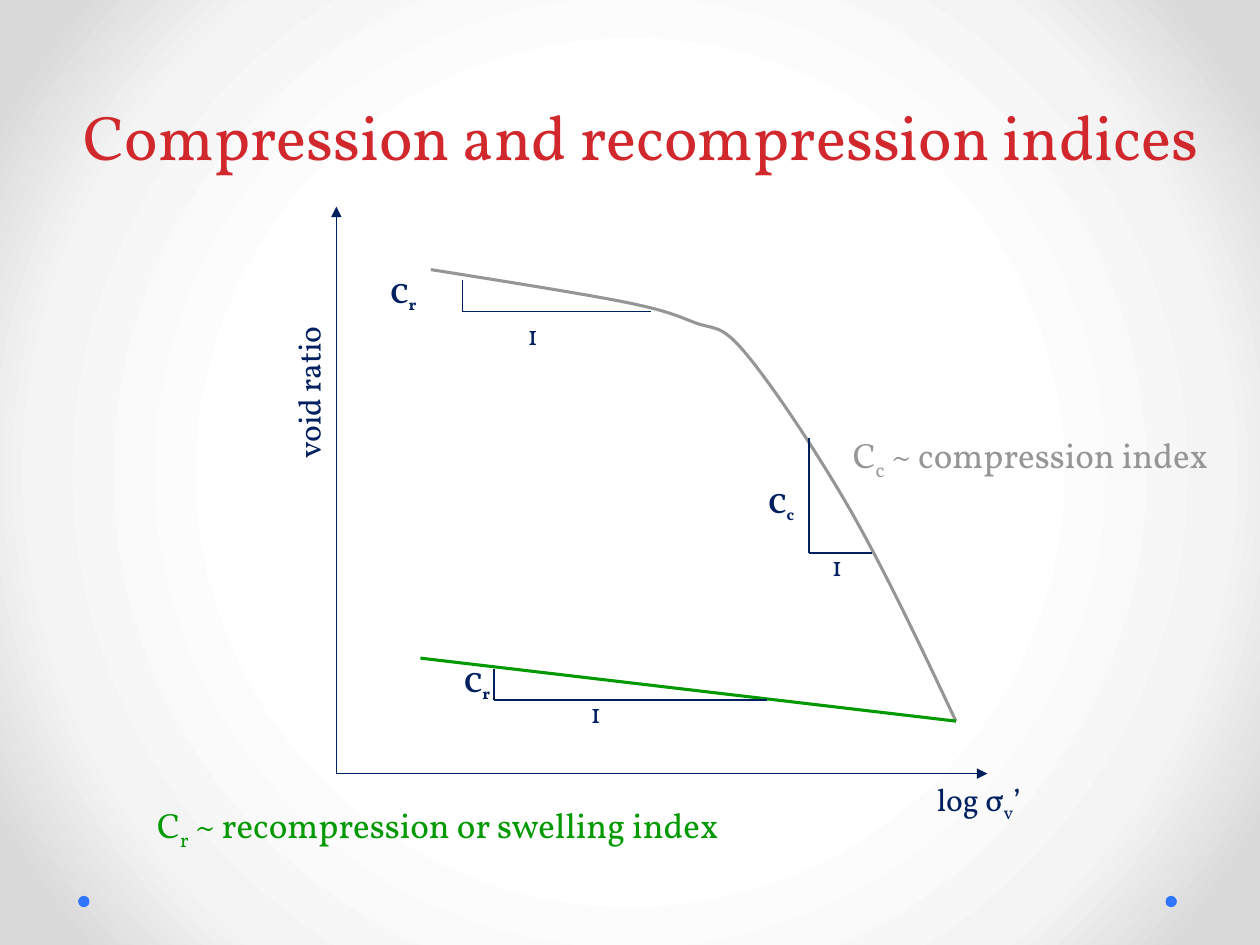
from typing import NamedTuple

from lxml import etree
from pptx import Presentation
from pptx.dml.color import RGBColor
from pptx.enum.shapes import MSO_CONNECTOR, MSO_SHAPE
from pptx.enum.text import MSO_ANCHOR, MSO_AUTO_SIZE, PP_ALIGN
from pptx.oxml import parse_xml
from pptx.oxml.ns import nsdecls, qn
from pptx.util import Inches, Pt

STRAIGHT = MSO_CONNECTOR.STRAIGHT
OVAL = MSO_SHAPE.OVAL
GROW = MSO_AUTO_SIZE.SHAPE_TO_FIT_TEXT
BOTTOM = MSO_ANCHOR.BOTTOM
CENTER = PP_ALIGN.CENTER

FONT = "Vollkorn"
COLORS = {
    "title": "D1282E",
    "ink": "002060",
    "compression": "969696",
    "recompression": "009900",
    "dot": "3075FF",
}
BACKDROP_STOPS = ((50, "FFFFFF"), (76, "F4F4F4"), (92, "DADADA"))

# The chart grid starts at the top of the void ratio axis, with 12 cells per inch.
GRID_LEFT, GRID_TOP, CELLS_PER_INCH = 2.67, 1.64, 12
AXIS_COLS, AXIS_ROWS = 62, 54


class Segment(NamedTuple):
    start: tuple[float, float]
    end: tuple[float, float]
    color: str = "ink"
    weight: float = 0.75
    arrow: bool = False


class Label(NamedTuple):
    """Text placed on the grid; wordings alternate between normal and subscript."""
    wordings: tuple[str, ...]
    col: float
    row: float
    cols: float
    rows: float
    size: int = 16
    color: str = "ink"
    bold: bool = False
    rotation: int = 0


class SlopeTriangle(NamedTuple):
    """Rise and run under a curve, with the places of its two labels."""
    subscript: str
    corner: tuple[float, float]
    rise: float
    run: float
    symbol_at: tuple[float, float]
    symbol_cols: float
    unit_at: tuple[float, float]


AXES = (
    Segment((0, AXIS_ROWS), (AXIS_COLS, AXIS_ROWS), arrow=True),
    Segment((0, AXIS_ROWS), (0, 0), arrow=True),
)
SWELLING_LINE = Segment((59, 49), (8, 43), "recompression", 1.75)
# Start point, then two control points and an end point for each Bézier piece.
COMPRESSION_CURVE = (
    (9, 6),
    (15.9, 7.1), (22.8, 8.2), (27, 9),
    (31, 9.8), (32, 10.2), (34, 11),
    (36, 11.8), (36.5, 11), (39, 14),
    (41.5, 17), (45.6, 23.1), (49, 29),
    (52.4, 35), (55.7, 42), (59, 49),
)
TRIANGLES = (
    SlopeTriangle("c", (45, 33), 11, 6, (40, 26), 6, (46, 32)),
    SlopeTriangle("r", (15, 47), 3, 26, (11, 43), 8, (23, 46)),
    SlopeTriangle("r", (12, 10), 3, 18, (4, 6), 7, (17, 10)),
)
LABELS = (
    Label(("log σ", "v", "’"), 56, 54, 18, 4.8, 18),
    Label(("void ratio",), -13.5, 12, 21.6, 4.8, 18, rotation=270),
    Label(("C", "c", " ~ compression index"), 48, 21, 39, 5.2, 20, "compression"),
    Label(("C", "r", " ~ recompression or swelling index"),
          -18.25, 56.25, 60.5, 5.2, 20, "recompression"),
)


def rgb(name: str) -> RGBColor:
    return RGBColor.from_string(COLORS[name])


def grid_point(col: float, row: float) -> tuple[int, int]:
    return (Inches(GRID_LEFT + col / CELLS_PER_INCH),
            Inches(GRID_TOP + row / CELLS_PER_INCH))


def set_backdrop(slide) -> None:
    """Fill the background with a gradient that darkens away from the centre."""
    slide.background.fill.solid()
    solid = slide.element.find(".//" + qn("a:solidFill"))
    stops = "".join(
        f'<a:gs pos="{share * 1000}"><a:srgbClr val="{color}"/></a:gs>'
        for share, color in BACKDROP_STOPS)
    gradient = parse_xml(
        f'<a:gradFill {nsdecls("a")} rotWithShape="1"><a:gsLst>{stops}</a:gsLst>'
        '<a:path path="circle"><a:fillToRect l="50000" t="50000" r="50000" b="50000"/>'
        '</a:path></a:gradFill>')
    solid.getparent().replace(solid, gradient)


def add_dot(slide, left: float) -> None:
    dot = slide.shapes.add_shape(OVAL, Inches(left), Inches(7.11), Inches(0.09), Inches(0.09))
    dot.shadow.inherit = False
    dot.fill.solid()
    dot.fill.fore_color.rgb = rgb("dot")
    dot.line.fill.background()


def add_title(slide, wording: str) -> None:
    box = slide.shapes.add_textbox(Inches(0.37), Inches(0.5), Inches(9.44), Inches(0.92))
    frame = box.text_frame
    frame.word_wrap = True
    frame.vertical_anchor = BOTTOM
    frame.text = wording
    paragraph = frame.paragraphs[0]
    paragraph.alignment = CENTER
    paragraph.line_spacing = Pt(58)
    font = paragraph.runs[0].font
    font.name, font.size, font.color.rgb = FONT, Pt(36), rgb("title")


def add_segment(slide, segment: Segment) -> None:
    line = slide.shapes.add_connector(
        STRAIGHT, *grid_point(*segment.start), *grid_point(*segment.end))
    line.line.color.rgb = rgb(segment.color)
    line.line.width = Pt(segment.weight)
    properties = line._element.spPr
    if segment.arrow:
        etree.SubElement(properties.find(qn("a:ln")), qn("a:tailEnd"), type="triangle")
    etree.SubElement(properties, qn("a:effectLst"))


def add_curve(slide, points: tuple[tuple[float, float], ...]) -> None:
    start, *rest = [grid_point(*point) for point in points]
    builder = slide.shapes.build_freeform(*start)
    builder.add_line_segments(rest, close=False)
    curve = builder.convert_to_shape()
    curve.shadow.inherit = False
    curve.fill.background()
    curve.line.color.rgb = rgb("compression")
    curve.line.width = Pt(1.75)
    # Merge each three straight steps into one cubic piece.
    steps = list(curve._element.iter(qn("a:lnTo")))
    for first in range(0, len(steps), 3):
        piece = steps[first]
        piece.tag = qn("a:cubicBezTo")
        for step in steps[first + 1:first + 3]:
            piece.append(step[0])
            step.getparent().remove(step)


def add_label(slide, label: Label) -> None:
    box = slide.shapes.add_textbox(
        *grid_point(label.col, label.row),
        Inches(label.cols / CELLS_PER_INCH), Inches(label.rows / CELLS_PER_INCH))
    box.rotation = label.rotation
    frame = box.text_frame
    frame.word_wrap = True
    frame.auto_size = GROW
    for position, wording in enumerate(label.wordings):
        run = frame.paragraphs[0].add_run()
        run.text = wording
        font = run.font
        font.name, font.size, font.bold = FONT, Pt(label.size), label.bold
        font.color.rgb = rgb(label.color)
        if position % 2:
            run._r.get_or_add_rPr().set("baseline", "-25000")


def add_triangle(slide, triangle: SlopeTriangle) -> None:
    col, row = triangle.corner
    add_segment(slide, Segment((col, row - triangle.rise), triangle.corner))
    add_segment(slide, Segment(triangle.corner, (col + triangle.run, row)))
    add_label(slide, Label(("1",), *triangle.unit_at, 5, 4.4))
    add_label(slide, Label(("C", triangle.subscript), *triangle.symbol_at,
                           triangle.symbol_cols, 4.4, bold=True))


def main() -> None:
    deck = Presentation()
    deck.slide_width, deck.slide_height = Inches(10), Inches(7.5)
    slide = deck.slides.add_slide(deck.slide_layouts[6])
    set_backdrop(slide)
    for left in (9.25, 0.62):
        add_dot(slide, left)
    add_title(slide, "Compression and recompression indices")
    for axis in AXES:
        add_segment(slide, axis)
    add_curve(slide, COMPRESSION_CURVE)
    add_segment(slide, SWELLING_LINE)
    for triangle in TRIANGLES:
        add_triangle(slide, triangle)
    for label in LABELS:
        add_label(slide, label)
    deck.save("out.pptx")


if __name__ == "__main__":
    main()
